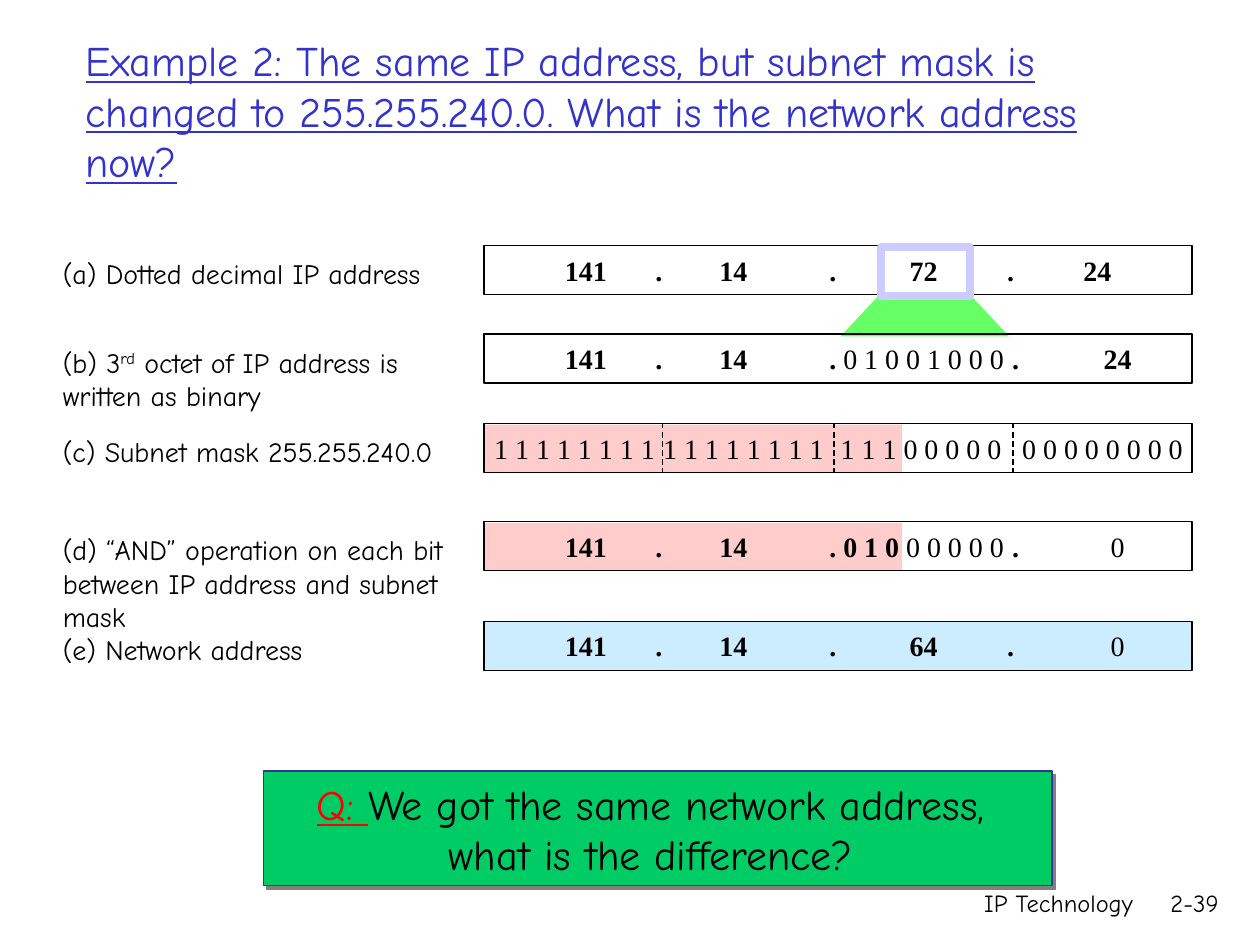
from dataclasses import dataclass
from lxml.etree import SubElement
from pptx import Presentation
from pptx.dml.color import RGBColor as Color
from pptx.enum.dml import MSO_LINE_DASH_STYLE as Dash
from pptx.enum.shapes import MSO_CONNECTOR as Connector, MSO_SHAPE as Shape
from pptx.enum.text import MSO_ANCHOR as Anchor, PP_ALIGN as Align
from pptx.oxml.ns import qn
from pptx.util import Inches, Pt


@dataclass(frozen=True)
class Theme:
    label_font: str = "Comic Neue"
    digit_font: str = "Times New Roman"
    heading_size: int = 24
    body_size: int = 16
    footer_size: int = 14
    ink: str = "000000"
    title: str = "3333CC"
    masked: str = "FFCCCC"
    result: str = "CCECFF"
    fan: str = "66FF66"
    highlight: str = "CCCCFF"
    question: str = "00CC66"
    question_edge: str = "333399"
    accent: str = "FF0000"
    shadow: str = "808080"


THEME = Theme()
UNIT = Inches(0.1)
COLUMNS, ROWS = 100, 75
ROW_LEFT, ROW_WIDTH, ROW_HEIGHT = 38.4, 56.2, 3.9
ROW_TOPS = {"a": 19.5, "b": 26.5, "c": 33.6, "d": 41.4, "e": 49.3}
OCTETS = (8.1, 19.8, 34.9, 50.3)
DOTS = (13.9, 27.7, 41.8)
MASK_OCTETS = (7.2, 20.6, 34.7, 49.1)
MASK_BREAKS = (14.2, 27.8, 42)
MASKED_WIDTH = 33.1


def grid(*cells):
    return [round(cell * UNIT) for cell in cells]


def style(span, size, font=THEME.label_font, color=THEME.ink, bold=False, underline=False):
    span.font.size = Pt(size)
    span.font.name = font
    span.font.color.rgb = Color.from_string(color)
    span.font.bold = bold
    span.font.underline = underline


def add_span(para, text, size, **look):
    span = para.add_run()
    span.text = text
    style(span, size, **look)
    return span


def add_text(page, box, anchor=Anchor.TOP, wrap=True):
    frame = page.shapes.add_textbox(*grid(*box)).text_frame
    frame.word_wrap = wrap
    frame.vertical_anchor = anchor
    return frame


def paint(shape, fill=None, line=None, weight=0.75):
    shape.shadow.inherit = False
    if fill:
        shape.fill.solid()
        shape.fill.fore_color.rgb = Color.from_string(fill)
    else:
        shape.fill.background()
    if line:
        shape.line.color.rgb = Color.from_string(line)
        shape.line.width = Pt(weight)
    else:
        shape.line.fill.background()


def add_box(page, box, **look):
    shape = page.shapes.add_shape(Shape.RECTANGLE, *grid(*box))
    paint(shape, **look)
    return shape


def place_title(page, box):
    title = page.shapes.title
    title.left, title.top, title.width, title.height = grid(*box)
    frame = title.text_frame
    frame.text = ("Example 2: The same IP address, but subnet mask is changed to "
                  "255.255.240.0. What is the network address now?")
    frame.word_wrap = True
    frame.vertical_anchor = Anchor.MIDDLE
    para = frame.paragraphs[0]
    para.alignment = Align.LEFT
    style(para.runs[0], THEME.heading_size, color=THEME.title, underline=True)


def place_label(page, box, lines):
    frame = add_text(page, box, wrap=False)
    for number, line in enumerate(lines):
        para = frame.add_paragraph() if number else frame.paragraphs[0]
        for position, part in enumerate(line.split("^")):
            span = add_span(para, part, THEME.body_size)
            if position == 1:
                span.font._element.set("baseline", "30000")


def place_digits(page, box, center, text, bold=0):
    left, top, width, height = box
    span_width = 16
    frame = add_text(page, (left + center - span_width / 2, top, span_width, height),
                     Anchor.MIDDLE, wrap=False)
    frame.margin_left = frame.margin_right = 0
    para = frame.paragraphs[0]
    para.alignment = Align.CENTER
    for part, heavy in ((text[:bold], True), (text[bold:], False)):
        if part:
            add_span(para, part, THEME.body_size, font=THEME.digit_font, bold=heavy)


def place_row(page, box, octets, centers=OCTETS, fill=None, masked=False, dots=DOTS):
    left, top, width, height = box
    if masked:
        add_box(page, (left + 0.1, top + 0.1, MASKED_WIDTH, height - 0.1), fill=THEME.masked)
    add_box(page, box, fill=fill, line=THEME.ink)
    for center, (text, bold) in zip(centers, octets):
        place_digits(page, box, center, text, bold)
    for center in dots:
        place_digits(page, box, center, ".", 1)


def place_mask_breaks(page, box):
    left, top, width, height = box
    for offset in MASK_BREAKS:
        x = left + offset
        line = page.shapes.add_connector(Connector.STRAIGHT, *grid(x, top, x, top + height))
        line.line.color.rgb = Color.from_string(THEME.ink)
        line.line.width = Pt(0.75)
        line.line.dash_style = Dash.DASH
        SubElement(line._element.spPr, qn("a:effectLst"))


def place_fan(page, box, inset):
    left, top, width, height = box
    right, bottom = left + width, top + height
    builder = page.shapes.build_freeform(*grid(left + inset, top))
    corners = ((right - inset, top), (right, bottom), (left, bottom))
    builder.add_line_segments([grid(*corner) for corner in corners], close=True)
    paint(builder.convert_to_shape(), fill=THEME.fan)


def place_question(page, box):
    shape = add_box(page, box, fill=THEME.question, line=THEME.question_edge)
    effects = shape._element.spPr.find(qn("a:effectLst"))
    shadow = SubElement(effects, qn("a:outerShdw"), dist=str(Pt(2.8)), dir="2700000",
                        algn="ctr", rotWithShape="0")
    SubElement(shadow, qn("a:srgbClr"), val=THEME.shadow)
    frame = shape.text_frame
    frame.word_wrap = False
    frame.vertical_anchor = Anchor.MIDDLE
    first, second = frame.paragraphs[0], frame.add_paragraph()
    add_span(first, "Q: ", THEME.heading_size, color=THEME.accent, underline=True)
    add_span(first, "We got the same network address, ", THEME.heading_size)
    add_span(second, "what is the difference? ", THEME.heading_size)
    first.alignment = second.alignment = Align.CENTER


def place_footer(page, box, text):
    para = add_text(page, box).paragraphs[0]
    para.alignment = Align.RIGHT
    add_span(para, text, THEME.footer_size)


def place_rows(page):
    boxes = {key: (ROW_LEFT, top, ROW_WIDTH, ROW_HEIGHT) for key, top in ROW_TOPS.items()}
    binary_dots = (*DOTS[:2], 42.2)
    place_fan(page, (66.7, 23.3, 13.4, 3.4), 3.2)
    place_row(page, boxes["a"], (("141", 3), ("14", 2), ("72", 2), ("24", 2)),
              centers=(*OCTETS[:3], 48.7))
    place_row(page, boxes["b"], (("141", 3), ("14", 2), ("0 1 0 0 1 0 0 0", 0), ("24", 2)),
              dots=binary_dots)
    ones = " ".join("1" * 8)
    zeros = " ".join("0" * 8)
    place_row(page, boxes["c"], ((ones, 0), (ones, 0), ("1 1 1 0 0 0 0 0", 0), (zeros, 0)),
              centers=MASK_OCTETS, masked=True, dots=())
    place_mask_breaks(page, boxes["c"])
    place_row(page, boxes["d"], (("141", 3), ("14", 2), ("0 1 0 0 0 0 0 0", 5), ("0", 0)),
              masked=True, dots=binary_dots)
    place_row(page, boxes["e"], (("141", 3), ("14", 2), ("64", 2), ("0", 0)),
              fill=THEME.result)
    add_box(page, (69.9, 19.6, 7.1, 3.9), line=THEME.highlight, weight=4.5)


def place_labels(page):
    labels = {
        "a": ["(a) Dotted decimal IP address"],
        "b": ["(b) 3^rd^ octet of IP address is", "written as binary"],
        "c": ["(c) Subnet mask 255.255.240.0"],
        "d": ["(d) “AND” operation on each bit", "between IP address and subnet mask"],
        "e": ["(e) Network address"],
    }
    for key, lines in labels.items():
        place_label(page, (4, ROW_TOPS[key] + 0.4, 35, 1 + 2.7 * len(lines)), lines)


def main():
    deck = Presentation()
    deck.slide_width, deck.slide_height = grid(COLUMNS, ROWS)
    page = deck.slides.add_slide(deck.slide_layouts[5])
    place_title(page, (5.8, 2.5, 85, 12.5))
    place_rows(page)
    place_labels(page)
    place_question(page, (20.9, 61.2, 62.6, 9.1))
    place_footer(page, (59.2, 70, 31.7, 5), "IP Technology")
    place_footer(page, (89.8, 70, 7.9, 5), "2-39")
    deck.save("out.pptx")


if __name__ == "__main__":
    main()
